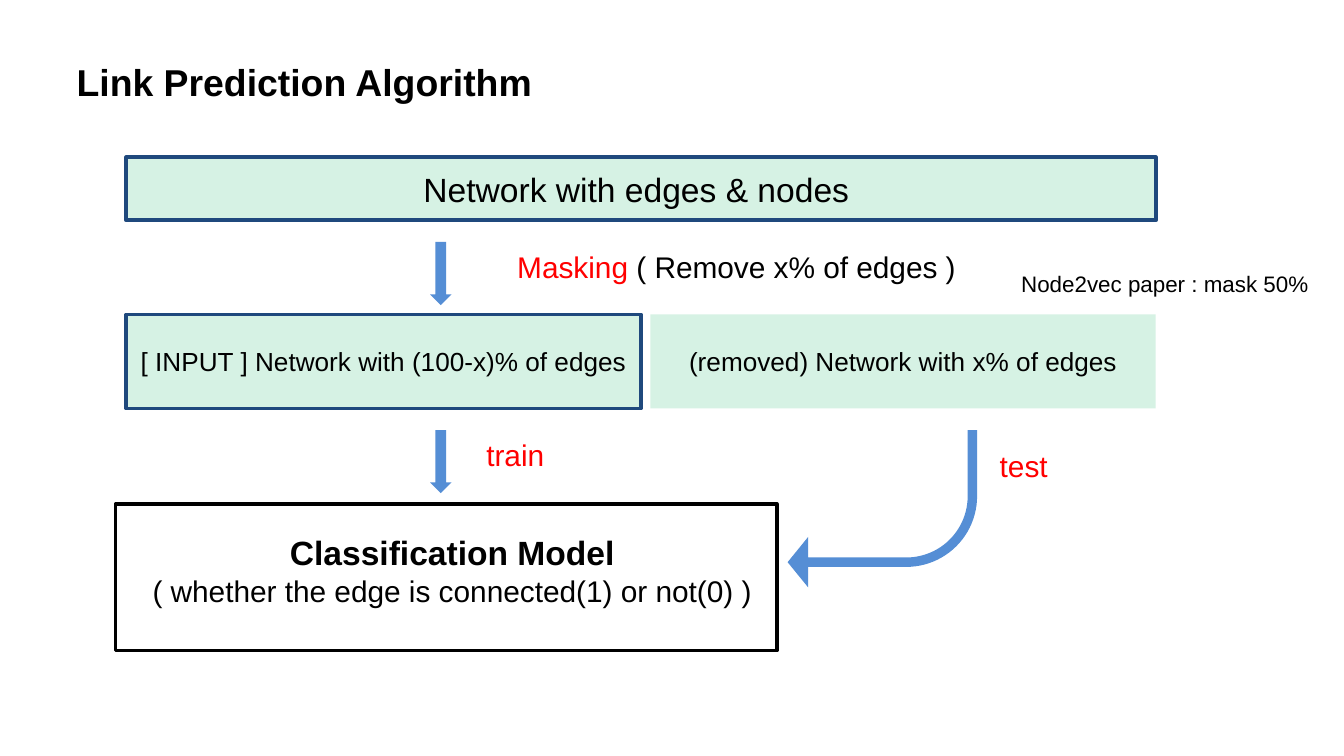
"""Build the link prediction algorithm flow slide."""
from pptx import Presentation
from pptx.dml.color import RGBColor
from pptx.enum.shapes import MSO_SHAPE
from pptx.enum.text import MSO_ANCHOR, MSO_AUTO_SIZE, PP_ALIGN
from pptx.util import Inches, Pt

COLORS = {"black": "000000", "red": "FF0000", "mint": "D6F2E4",
          "navy": "1F497D", "blue": "558ED5"}
LEFT, WIDTH, GAP = 0.94, 7.66, 0.07
INPUT_W = WIDTH / 2
REMOVED_X = LEFT + INPUT_W + GAP
REMOVED_W = WIDTH - INPUT_W - GAP
MASK_Y, SPLIT_Y, TRAIN_Y = 1.8, 2.34, 3.2
LABEL_H = 0.37

TITLE = ("Link Prediction Algorithm", 20, "black", True)
BOXES = [
    ((0.86, 3.75, 4.92, 1.09), None, "black", None),
    ((LEFT, 1.17, WIDTH, 0.47), "mint", "navy",
     ("Network with edges & nodes ", 18, "black", False)),
    ((LEFT, SPLIT_Y, INPUT_W, 0.7), "mint", "navy",
     ("[ INPUT ] Network with (100-x)% of edges", 14, "black", False)),
    ((REMOVED_X, SPLIT_Y, REMOVED_W, 0.7), "mint", None,
     ("(removed) Network with x% of edges", 14, "black", False)),
]
LABELS = [
    ((3.75, MASK_Y, 5.55, LABEL_H), PP_ALIGN.LEFT,
     [[("Masking", 16, "red", False),
       (" ( Remove x% of edges )", 16, "black", False)]]),
    ((1.02, 3.91, 4.69, 0.67), PP_ALIGN.CENTER,
     [[("Classification Model", 18, "black", True)],
      [("( whether the edge is connected(1) or not(0) )", 16, "black", False)]]),
    ((3.52, TRAIN_Y, 1.09, LABEL_H), PP_ALIGN.LEFT,
     [[("train", 16, "red", False)]]),
    ((7.34, 3.28, 1.09, LABEL_H), PP_ALIGN.LEFT,
     [[("test", 16, "red", False)]]),
    ((7.5, 1.96, 2.34, 0.3), PP_ALIGN.LEFT,
     [[("Node2vec paper : mask 50%", 12, "black", False)]]),
]
ARROWS = [
    (MSO_SHAPE.DOWN_ARROW, (3.2, MASK_Y, 0.16, 0.47), 0, ()),
    (MSO_SHAPE.DOWN_ARROW, (3.2, TRAIN_Y, 0.16, 0.47), 0, ()),
    (MSO_SHAPE.BENT_ARROW, (5.86, TRAIN_Y, 1.41, 1.17), 180,
     (0.06, 0.16, 0.13, 0.45)),
]


def rgb(name):
    return RGBColor.from_string(COLORS[name])


def inches(box):
    return [Inches(v) for v in box]


def write(tf, paragraphs, align):
    tf.word_wrap = True
    for i, runs in enumerate(paragraphs):
        p = tf.add_paragraph() if i else tf.paragraphs[0]
        p.alignment = align
        for text, size, color, bold in runs:
            r = p.add_run()
            r.text = text
            r.font.name, r.font.size, r.font.bold = "Arial", Pt(size), bold
            r.font.color.rgb = rgb(color)


def add_shape(s, kind, box, fill, line):
    sp = s.shapes.add_shape(kind, *inches(box))
    sp.shadow.inherit = False
    if fill:
        sp.fill.solid()
        sp.fill.fore_color.rgb = rgb(fill)
    else:
        sp.fill.background()
    if line:
        sp.line.color.rgb = rgb(line)
        sp.line.width = Pt(2)
    else:
        sp.line.fill.background()
    return sp


def main():
    prs = Presentation()
    prs.slide_width = Inches(10)
    prs.slide_height = prs.slide_width * 9 // 16
    s = prs.slides.add_slide(prs.slide_layouts[5])

    title = s.shapes.title
    title.left, title.top, title.width, title.height = inches((0.47, 0.39, 4.61, 0.44))
    title.text_frame.vertical_anchor = MSO_ANCHOR.TOP
    title.text_frame.auto_size = MSO_AUTO_SIZE.NONE
    write(title.text_frame, [[TITLE]], PP_ALIGN.LEFT)

    for box, fill, line, run in BOXES:
        sp = add_shape(s, MSO_SHAPE.RECTANGLE, box, fill, line)
        if run:
            sp.text_frame.vertical_anchor = MSO_ANCHOR.MIDDLE
            write(sp.text_frame, [[run]], PP_ALIGN.CENTER)

    for kind, box, rotation, adjustments in ARROWS:
        sp = add_shape(s, kind, box, "blue", None)
        sp.rotation = rotation
        for i, value in enumerate(adjustments):
            sp.adjustments[i] = value

    for box, align, paragraphs in LABELS:
        tf = s.shapes.add_textbox(*inches(box)).text_frame
        tf.auto_size = MSO_AUTO_SIZE.SHAPE_TO_FIT_TEXT
        write(tf, paragraphs, align)

    prs.save("out.pptx")


if __name__ == "__main__":
    main()
